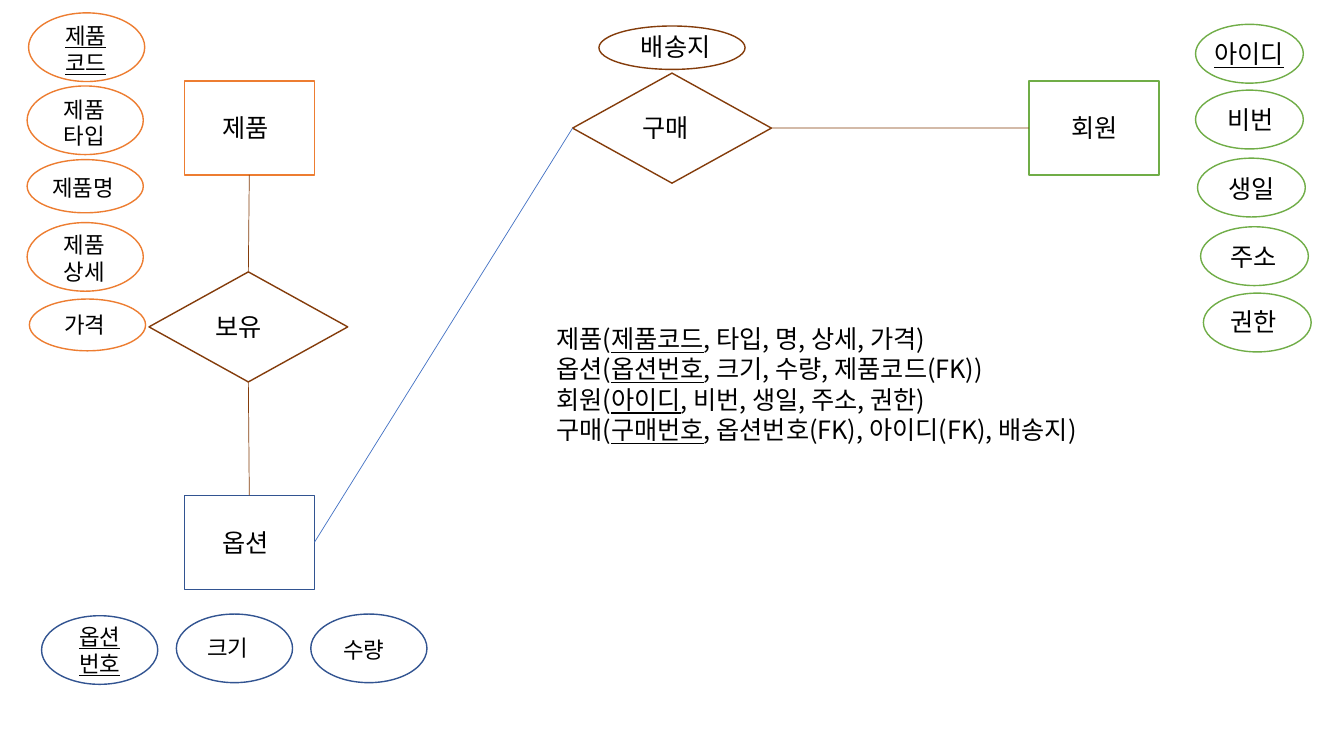
from pptx import Presentation
from pptx.dml.color import RGBColor
from pptx.enum.lang import MSO_LANGUAGE_ID
from pptx.enum.shapes import MSO_CONNECTOR, MSO_SHAPE
from pptx.enum.text import MSO_AUTO_SIZE
from pptx.oxml.ns import qn
from pptx.util import Pt
from lxml import etree

ORANGE = RGBColor(0xED, 0x7D, 0x31)
GREEN = RGBColor(0x70, 0xAD, 0x47)
NAVY = RGBColor(0x32, 0x54, 0x91)
BROWN = RGBColor(0x84, 0x3C, 0x0B)
BLUE = RGBColor(0x44, 0x72, 0xC4)
WHITE = RGBColor(0xFF, 0xFF, 0xFF)
BLACK = RGBColor(0, 0, 0)
TOP, LEFT, BOTTOM, RIGHT = range(4)


class Diagram:
    font = "Noto Sans CJK KR"

    def __init__(self, slide):
        self.slide = slide

    def shape(self, kind, box, color, fill=None):
        shape = self.slide.shapes.add_shape(kind, *map(Pt, box))
        shape.shadow.inherit = False
        if fill is None:
            shape.fill.background()
        else:
            shape.fill.solid()
            shape.fill.fore_color.rgb = fill
        shape.line.color.rgb = color
        shape.line.width = Pt(1)
        return shape

    def text(self, box, paragraphs, size=18):
        frame = self.slide.shapes.add_textbox(*map(Pt, box)).text_frame
        frame.word_wrap = True
        frame.auto_size = MSO_AUTO_SIZE.SHAPE_TO_FIT_TEXT
        for i, runs in enumerate(paragraphs):
            paragraph = frame.add_paragraph() if i else frame.paragraphs[0]
            for words, underlined in runs:
                run = paragraph.add_run()
                run.text = words
                font = run.font
                font.name, font.size = self.font, Pt(size)
                font.color.rgb = BLACK
                font.underline = underlined
                font.language_id = MSO_LANGUAGE_ID.KOREAN
                east_asian = etree.SubElement(run._r.rPr, qn("a:ea"))
                east_asian.set("typeface", self.font)

    def label(self, box, words, size=18, key=False):
        self.text(box, [[(line, key)] for line in words.split("\n")], size)

    def attribute(self, box, label_box, words, color, size, key=False, fill=None):
        self.shape(MSO_SHAPE.OVAL, box, color, fill)
        self.label(label_box, words, size, key)

    def link(self, start, start_site, end, end_site, color):
        line = self.slide.shapes.add_connector(MSO_CONNECTOR.STRAIGHT, 0, 0, 0, 0)
        line.begin_connect(start, start_site)
        line.end_connect(end, end_site)
        line.line.color.rgb = color
        line.line.width = Pt(0.5)
        etree.SubElement(line._element.spPr, qn("a:effectLst"))


prs = Presentation()
prs.slide_width, prs.slide_height = Pt(960), Pt(540)
diagram = Diagram(prs.slides.add_slide(prs.slide_layouts[6]))

ENTITY, RELATION = (93, 67.2), (142, 78.6)
nodes = {}
for name, kind, corner, size, color, fill, label_box in [
    ("제품", MSO_SHAPE.RECTANGLE, (131.6, 57.8), ENTITY, ORANGE, WHITE, (152, 77, 67.5, 29)),
    ("회원", MSO_SHAPE.RECTANGLE, (735, 57.8), ENTITY, GREEN, WHITE, (758.5, 77, 60, 29)),
    ("옵션", MSO_SHAPE.RECTANGLE, (131.6, 353.8), ENTITY, NAVY, None, (152, 373.3, 65.5, 29)),
    ("보유", MSO_SHAPE.DIAMOND, (106.4, 194.2), RELATION, BROWN, None, (147, 219, 62, 29)),
    ("구매", MSO_SHAPE.DIAMOND, (409, 52.2), RELATION, BROWN, None, (451.5, 77, 57, 29)),
]:
    nodes[name] = diagram.shape(kind, corner + size, color, fill)
    diagram.label(label_box, name)

for start, start_site, end, end_site, color in [
    ("제품", BOTTOM, "보유", TOP, BROWN),
    ("보유", BOTTOM, "옵션", TOP, BROWN),
    ("옵션", RIGHT, "구매", LEFT, BLUE),
    ("구매", RIGHT, "회원", LEFT, BROWN),
]:
    diagram.link(nodes[start], start_site, nodes[end], end_site, color)

for words, left, top, label_box in [
    ("옵션번호", 29.7, 439.8, (49.7, 441.5, 55.5, 46)),
    ("크기", 126, 438.6, (141, 449.6, 55.5, 26.6)),
    ("수량", 222, 438.6, (238.2, 450.8, 55.5, 26.6)),
]:
    diagram.attribute((left, top, 83, 49), label_box, words, NAVY, 16, words == "옵션번호")

for words, left, top, height, label_box in [
    ("제품코드", 20.4, 9.2, 49, (39.6, 12.2, 55.5, 46)),
    ("제품타입", 19.4, 61.4, 49, (38.6, 64.8, 48.2, 46)),
    ("제품명", 19.4, 114, 38, (30.2, 121, 64.8, 26.6)),
    ("제품\n상세", 19.4, 159, 49, (38.4, 161.3, 69, 46)),
    ("가격", 21, 213.6, 37, (38.9, 218.9, 46.8, 26.6)),
]:
    diagram.attribute((left, top, 83, height), label_box, words, ORANGE, 16,
                      words == "제품코드", WHITE)

for words, left, top, label_box in [
    ("아이디", 854, 17.4, (860.4, 23.8, 71.3, 29)),
    ("비번", 854, 64.4, (869.8, 70.6, 53.3, 29)),
    ("생일", 855.4, 113, (870.5, 120.2, 51.1, 29)),
    ("주소", 857.6, 162, (872, 168.5, 51.8, 29)),
    ("권한", 859.6, 209.4, (872, 215.3, 51.8, 29)),
]:
    diagram.attribute((left, top, 77, 42), label_box, words, GREEN, 18, words == "아이디")

diagram.attribute((427.8, 18.6, 104.4, 31), (450.7, 18.7, 68.4, 29), "배송지", BROWN, 18)

schema = [
    ("제품", "제품코드", "타입, 명, 상세, 가격"),
    ("옵션", "옵션번호", "크기, 수량, 제품코드(FK)"),
    ("회원", "아이디", "비번, 생일, 주소, 권한"),
    ("구매", "구매번호", "옵션번호(FK), 아이디(FK), 배송지"),
]
diagram.text(
    (390.2, 227.5, 409.7, 94.3),
    [[(f"{table}(", False), (key, True), (f", {columns})", False)]
     for table, key, columns in schema],
)

prs.save("out.pptx")
